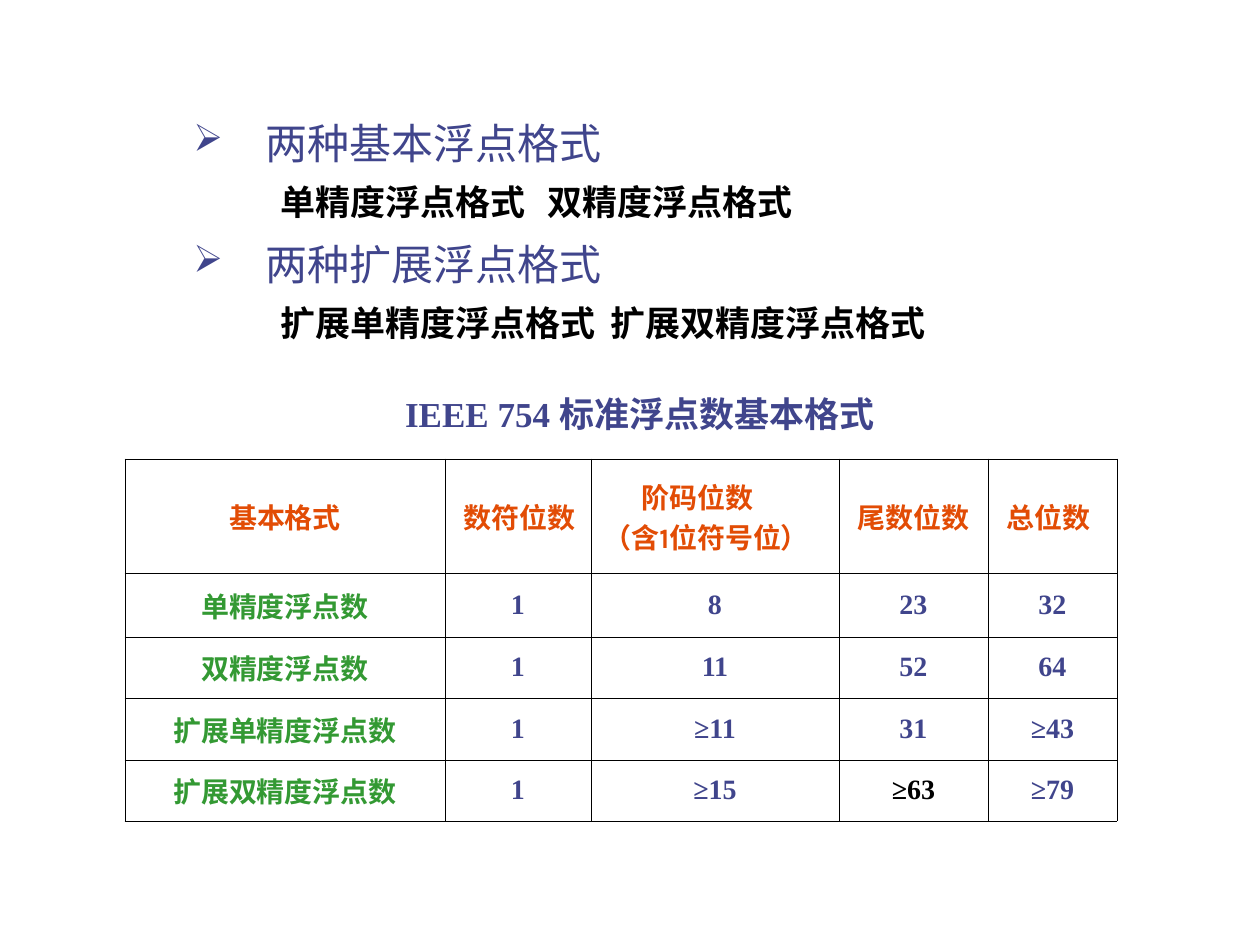
"""Build the slide on IEEE 754 floating-point formats."""
from lxml import etree
from pptx import Presentation
from pptx import util as u
from pptx.dml.color import RGBColor
from pptx.enum import text
from pptx.oxml.ns import qn

PX = 914400 / 126
BLUE, BLACK, ORANGE, GREEN = "40458C", "000000", "E24C05", "339933"
SANS, SERIF = "Karla", "Times New Roman"

BODY_BOX = (94, 106, 1071, 265)
TITLE_BOX = (382, 379, 576, 63)
TABLE_ORIGIN = (125, 459)
COLUMNS = [320, 146, 248, 149, 129]
ROWS = [114, 64, 61, 62, 61]

SECTIONS = [
    (" 两种基本浮点格式", ("单精度浮点格式", "双精度浮点格式"), 506),
    (" 两种扩展浮点格式", ("扩展单精度浮点格式", "扩展双精度浮点格式"), 529),
]
TITLE = [(" ", 24, SANS), ("IEEE 754 标准浮点数基本格式", 20, SERIF), (" ", 24, SANS)]
HEADERS = ["基本格式", " 数符位数", "阶码位数\n（含1位符号位）", " 尾数位数", " 总位数"]
FORMATS = [
    ("单精度浮点数", "1", "8", "23", "32"),
    ("双精度浮点数", "1", "11", "52", "64"),
    ("扩展单精度浮点数", "1", "≥11", "31", "≥43"),
    ("扩展双精度浮点数", "1", "≥15", "≥63", "≥79"),
]
CELL_COLORS = {"≥63": BLACK}


def px(length):
    return u.Emu(round(length * PX))


def color(value):
    return RGBColor.from_string(value)


def add_span(para, words, size, font, fill, bold=True):
    span = para.add_run()
    span.text = words
    span.font.size = u.Pt(size)
    span.font.name = font
    span.font.bold = bold
    span.font.color.rgb = color(fill)


def child(parent, tag, **attributes):
    element = etree.SubElement(parent, qn(tag))
    for name, value in attributes.items():
        element.set(name, str(value))
    return element


def indent(para, margin, first):
    properties = para._p.get_or_add_pPr()
    properties.set("marL", str(px(margin)))
    properties.set("indent", str(px(first)))
    return properties


def add_box(page, area):
    box = page.shapes.add_textbox(*map(px, area))
    box.text_frame.word_wrap = True
    return box.text_frame


def add_body(page):
    frame = add_box(page, BODY_BOX)
    paras = [frame.paragraphs[0]] + [frame.add_paragraph() for _ in range(2 * len(SECTIONS) - 1)]
    for (heading, names, stop), top, detail in zip(SECTIONS, paras[::2], paras[1::2]):
        for para, before in ((top, 6), (detail, 5)):
            para.line_spacing = 1.1
            para.space_before = u.Pt(before)
        add_span(top, heading, 24, SANS, BLUE, False)
        properties = indent(top, 150, -63)
        child(child(properties, "a:buClr"), "a:srgbClr", val=BLUE)
        child(properties, "a:buSzPct", val=90000)
        child(properties, "a:buChar", char="➢")
        add_span(detail, "\t".join(names), 20, SANS, BLACK)
        properties = indent(detail, 0, 174)
        child(properties, "a:buNone")
        child(child(properties, "a:tabLst"), "a:tab", pos=px(stop), algn="l")


def add_title(page):
    frame = add_box(page, TITLE_BOX)
    frame.auto_size = text.MSO_AUTO_SIZE.SHAPE_TO_FIT_TEXT
    para = frame.paragraphs[0]
    para.space_before = u.Pt(15)
    for words, size, font in TITLE:
        add_span(para, words, size, font, BLUE)


def style_cell(cell):
    cell.vertical_anchor = text.MSO_ANCHOR.MIDDLE
    properties = cell._tc.get_or_add_tcPr()
    for side in "LRTB":
        line = child(properties, f"a:ln{side}", w=u.Pt(0.45))
        child(child(line, "a:solidFill"), "a:srgbClr", val=BLACK)
    cell.fill.background()


def fill_cell(cell, words, row, column):
    if row == 0:
        fill = ORANGE
    else:
        fill = GREEN if column == 0 else CELL_COLORS.get(words, BLUE)
    lines = words.split("\n")
    for index, line in enumerate(lines):
        para = cell.text_frame.add_paragraph() if index else cell.text_frame.paragraphs[0]
        if row or column == 0:
            para.alignment = text.PP_ALIGN.CENTER
        elif len(lines) > 1 and index == 0:
            indent(para, 38, 0)
        before, digit, after = line.partition("1") if row == 0 else (line, "", "")
        for part, font in ((before, SERIF), (digit, SANS), (after, SERIF)):
            if part:
                add_span(para, part, 16, font, fill)


def add_formats(page):
    area = (*TABLE_ORIGIN, sum(COLUMNS), sum(ROWS))
    table = page.shapes.add_table(len(ROWS), len(COLUMNS), *map(px, area)).table
    table.first_row = table.horz_banding = False
    for column, width in zip(table.columns, COLUMNS):
        column.width = px(width)
    for row, height in zip(table.rows, ROWS):
        row.height = px(height)
    for row, values in enumerate([HEADERS, *FORMATS]):
        for column, words in enumerate(values):
            cell = table.cell(row, column)
            style_cell(cell)
            fill_cell(cell, words, row, column)


def main():
    deck = Presentation()
    deck.slide_width, deck.slide_height = u.Inches(10), u.Inches(7.5)
    page = deck.slides.add_slide(deck.slide_layouts[6])
    add_body(page)
    add_formats(page)
    add_title(page)
    deck.save("out.pptx")


if __name__ == "__main__":
    main()
